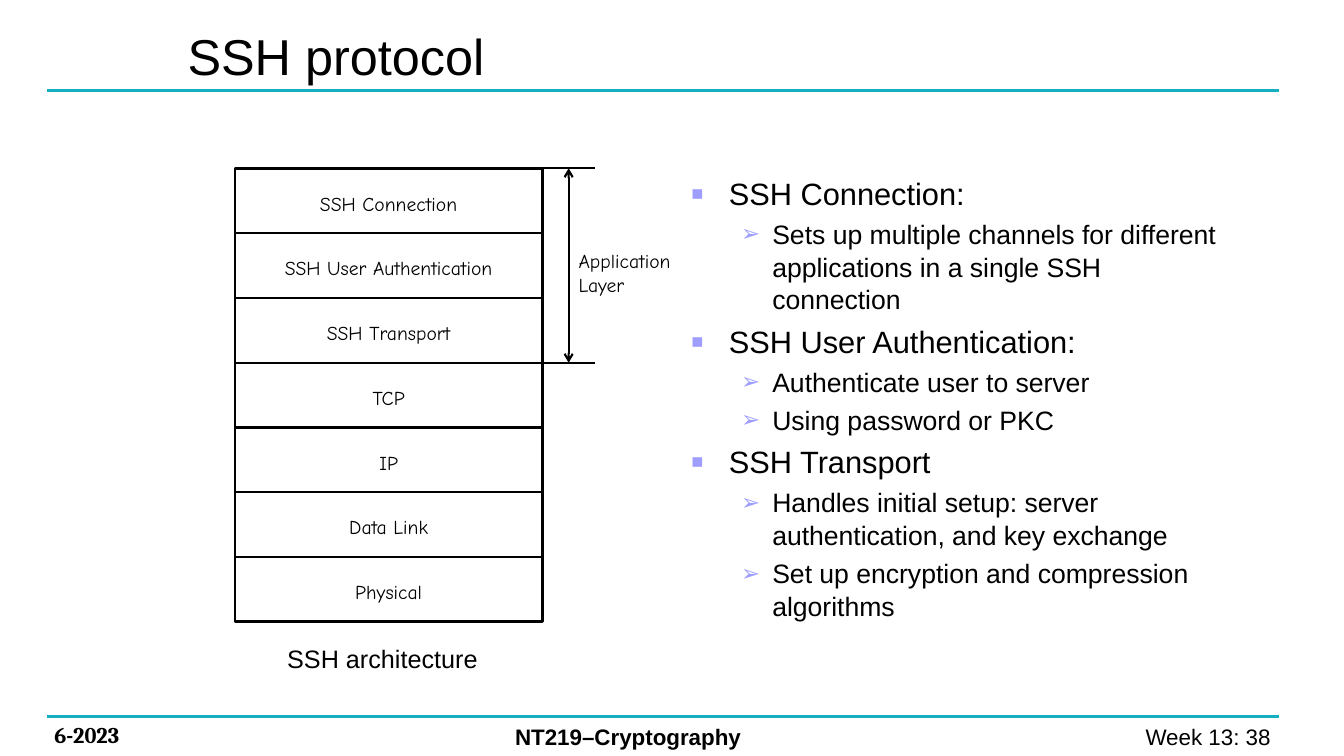
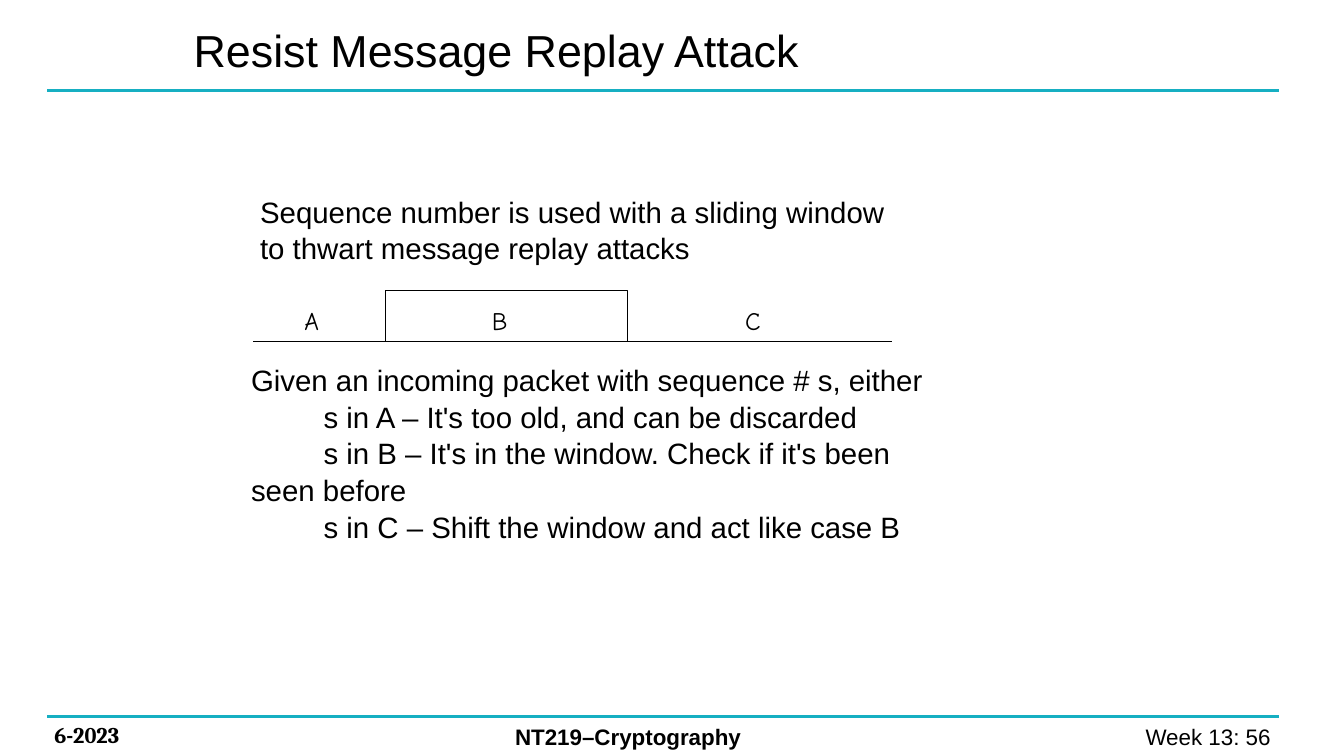
import pptx
import pptx.util
import pptx.dml.color
import pptx.enum.shapes
import pptx.enum.text
import pptx.oxml
import pptx.oxml.ns
import lxml.etree

Inches = pptx.util.Inches
Pt = pptx.util.Pt
RGBColor = pptx.dml.color.RGBColor
ALIGN = pptx.enum.text.PP_ALIGN
FIT = pptx.enum.text.MSO_AUTO_SIZE

BLACK = RGBColor(0x00, 0x00, 0x00)
WHITE = RGBColor(0xFF, 0xFF, 0xFF)
TEAL = RGBColor(0x16, 0xAF, 0xC2)
LILAC = RGBColor(0x9E, 0x9E, 0xFF)
SANS, SERIF, HAND = "Arial", "Cambria", "Comic Neue"
TIGHT = (0.07, 0.03)

LAYERS = ["SSH Connection", "SSH User Authentication", "SSH Transport",
          "TCP", "IP", "Data Link", "Physical"]
APP_ROWS = 3
POINTS = [
    (0, "SSH Connection:"),
    (1, "Sets up multiple channels for different applications in a single SSH connection"),
    (0, "SSH User Authentication:"),
    (1, "Authenticate user to server"),
    (1, "Using password or PKC"),
    (0, "SSH Transport"),
    (1, "Handles initial setup: server authentication, and key exchange"),
    (1, "Set up encryption and compression algorithms"),
]
LEVELS = [
    dict(size=22, left=0.38, hang=0.38, mark="▪", scale=125),
    dict(size=19, left=0.81, hang=0.31, mark="➢", scale=85),
]
INTRO = ["Sequence number is used with a sliding window",
         "to thwart message replay attacks"]
ZONES = [("A", 2.95), ("B", 4.81), ("C", 7.32)]
CASES = [
    "Given an incoming packet with sequence # s, either",
    "s in A – It's too old, and can be discarded",
    "s in B – It's in the window. Check if it's been seen before",
    "s in C – Shift the window and act like case B",
]


def place(shape, box):
    shape.left, shape.top, shape.width, shape.height = map(Inches, box)


def style(para, size, font, bold=False):
    for run in para.runs:
        run.font.size = Pt(size)
        run.font.name = font
        run.font.bold = bold
        run.font.color.rgb = BLACK


def add_tag(parent, tag, **attrs):
    node = lxml.etree.SubElement(parent, pptx.oxml.ns.qn("a:" + tag))
    for key, value in attrs.items():
        node.set(key, str(value))
    return node


def add_text(slide, box, lines, size, font=SANS, bold=False, align=ALIGN.LEFT,
             inset=(0.1, 0.05), wrap=True, pitch=None):
    shape = slide.shapes.add_textbox(*map(Inches, box))
    frame = shape.text_frame
    frame.word_wrap = wrap
    frame.margin_left = frame.margin_right = Inches(inset[0])
    frame.margin_top = frame.margin_bottom = Inches(inset[1])
    frame.text = "\n".join(lines)
    for para in frame.paragraphs:
        para.alignment = align
        para.line_spacing = pitch
        style(para, size, font, bold)
    return frame


def add_line(slide, start, end, width, color=BLACK, arrows=False):
    line = slide.shapes.add_connector(pptx.enum.shapes.MSO_CONNECTOR.STRAIGHT,
                                      *map(Inches, start + end))
    line.line.color.rgb = color
    line.line.width = Pt(width)
    if arrows:
        stroke = line.line._get_or_add_ln()
        add_tag(stroke, "headEnd", type="arrow")
        add_tag(stroke, "tailEnd", type="arrow")
    add_tag(line.element.spPr, "effectLst")


def add_rect(slide, box, width):
    rect = slide.shapes.add_shape(pptx.enum.shapes.MSO_SHAPE.RECTANGLE,
                                  *map(Inches, box))
    rect.shadow.inherit = False
    rect.fill.solid()
    rect.fill.fore_color.rgb = WHITE
    rect.line.color.rgb = BLACK
    rect.line.width = Pt(width)


def add_slide(deck, layout, title, box, size, number):
    slide = deck.slides.add_slide(deck.slide_layouts[layout])
    for y in (0.9, 7.11):
        add_line(slide, (0.47, y), (12.69, y), 2.25, TEAL)
    add_text(slide, (9.82, 7.12, 2.88, 0.37), [f"Week 13: {number}"], 16,
             align=ALIGN.RIGHT)
    add_text(slide, (0.44, 7.11, 1.78, 0.37), ["6-2023"], 16, SERIF, True)
    add_text(slide, (5.01, 7.12, 4.09, 0.37), ["NT219–Cryptography"], 16, bold=True)
    head = slide.shapes.title
    place(head, box)
    frame = head.text_frame
    frame.text = title
    frame.auto_size = FIT.NONE
    frame.vertical_anchor = pptx.enum.text.MSO_ANCHOR.MIDDLE
    frame.paragraphs[0].alignment = ALIGN.LEFT
    style(frame.paragraphs[0], size, SANS)
    return slide


def fill_body(body):
    place(body, (6.75, 1.67, 5.5, 5.08))
    frame = body.text_frame
    frame.text = "\n".join(text for _, text in POINTS)
    frame.auto_size = FIT.NONE
    for para, (level, _) in zip(frame.paragraphs, POINTS):
        look = LEVELS[level]
        para.level = level
        para.space_before = Pt(look["size"] * 0.2)
        para.line_spacing = 1.03
        style(para, look["size"], SANS)
        props = para._p.get_or_add_pPr()
        props.set("marL", str(Inches(look["left"])))
        props.set("indent", str(-Inches(look["hang"])))
        add_tag(add_tag(props, "buClr"), "srgbClr", val=LILAC)
        add_tag(props, "buSzPct", val=look["scale"] * 1000)
        add_tag(props, "buFont", typeface=SANS)
        add_tag(props, "buChar", char=look["mark"])


def draw_stack(slide):
    left, top, width, height = 2.33, 1.67, 3.05, 4.5
    right, reach, axis = left + width, 5.9, 5.64
    row = height / len(LAYERS)
    add_rect(slide, (left, top, width, height), 2)
    for i, name in enumerate(LAYERS):
        y = top + i * row
        end = reach if i in (0, APP_ROWS) else right
        add_line(slide, (left, y), (end, y), 1.5)
        add_text(slide, (left, y + 0.18, width, 0.34), [name], 14, HAND,
                 align=ALIGN.CENTER)
    add_line(slide, (axis, top), (axis, top + APP_ROWS * row), 1.5, arrows=True)
    add_text(slide, (axis, 2.42, 1.36, 0.57), ["Application Layer"], 14, HAND)
    add_text(slide, (2.75, 6.33, 2.09, 0.4), ["SSH architecture"], 18, wrap=False)


def draw_window(slide):
    base = 3.39
    add_rect(slide, (3.82, 2.88, 2.4, base - 2.88), 0.75)
    for start, end in ((2.51, 4.04), (6.01, 8.85)):
        add_line(slide, (start, base), (end, base), 0.75)
    for name, x in ZONES:
        add_text(slide, (x, 3, 0.33, 0.39), [name], 18, HAND, inset=TIGHT)


def main():
    deck = pptx.Presentation()
    deck.slide_width, deck.slide_height = Inches(13.33), Inches(7.5)

    slide = add_slide(deck, 1, "SSH protocol", (1.76, 0.11, 9.85, 0.87), 36, 38)
    fill_body(slide.placeholders[1])
    draw_stack(slide)

    slide = add_slide(deck, 5, "Resist Message Replay Attack",
                      (1.82, 0, 8.16, 0.99), 32, 56)
    add_text(slide, (2.51, 1.88, 6.44, 0.86), INTRO, 21, inset=TIGHT, pitch=1.04)
    draw_window(slide)
    cases = add_text(slide, (2.42, 3.55, 6.96, 1.37), CASES, 21, inset=TIGHT,
                     pitch=1.04)
    for para in cases.paragraphs[1:]:
        para._p.get_or_add_pPr().set("indent", str(Inches(0.72)))

    deck.save("out.pptx")


if __name__ == "__main__":
    main()
